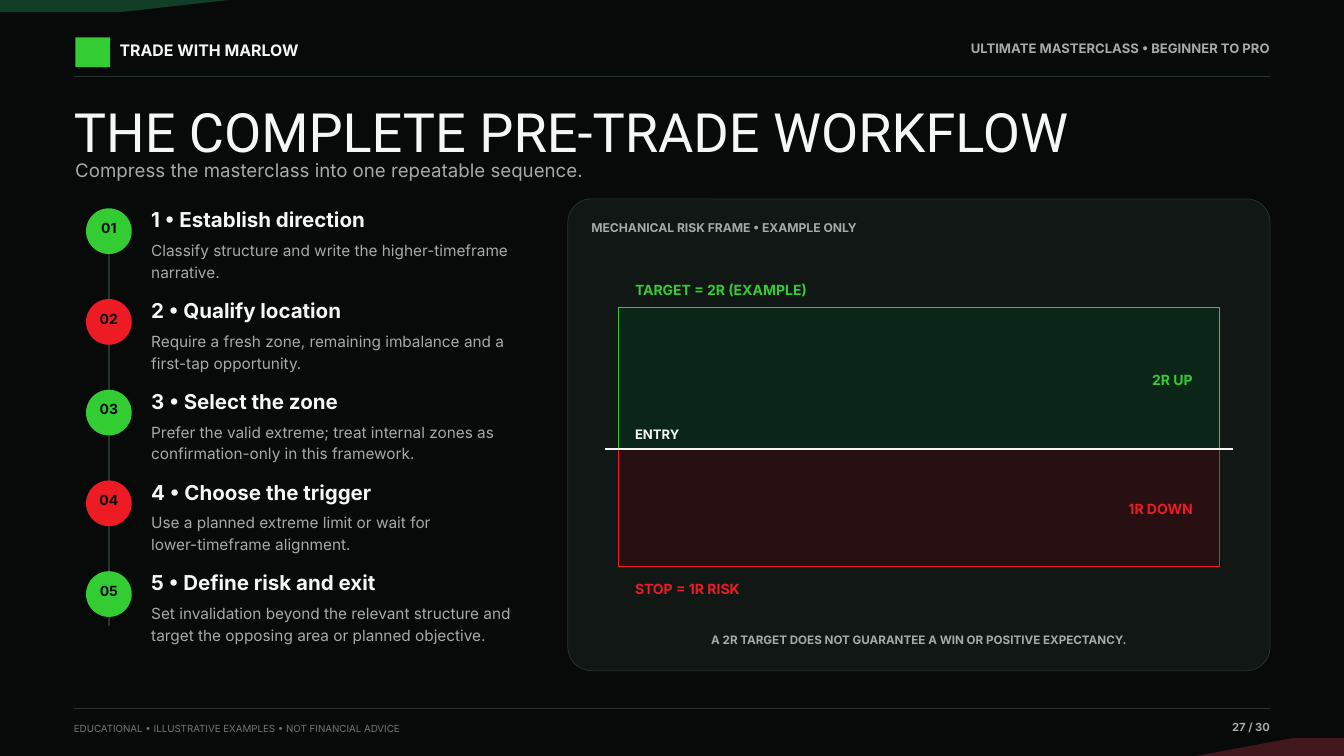
from dataclasses import dataclass

from lxml import etree
from pptx import Presentation
from pptx.dml.color import RGBColor
from pptx.enum import shapes, text
from pptx.oxml.ns import qn
from pptx.util import Pt

COLORS = {
    "background": "070A09", "panel": "111715", "rule": "28332E",
    "white": "F5F7F6", "grey": "A6AAA8", "dim": "6F7873",
    "green": "33CC33", "red": "ED1C24",
    "dark_green": "123D26", "dark_red": "42171B",
    "reward": "0C2519", "risk": "280F12",
}
LEFT, RIGHT = 79.2, 1360.8
STEP_TOP, STEP_PITCH = 223.2, 97.2
ZONE_LEFT, ZONE_WIDTH, ENTRY_Y = 662.4, 644.4, 480.96
ALIGN = {"l": text.PP_ALIGN.LEFT, "c": text.PP_ALIGN.CENTER, "r": text.PP_ALIGN.RIGHT}


@dataclass
class Label:
    words: str
    x: float
    y: float
    w: float
    h: float
    size: float
    color: str
    bold: bool = True
    align: str = "l"
    font: str = "Inter"
    spacing: float = 1.18


@dataclass
class Box:
    kind: shapes.MSO_SHAPE
    x: float
    y: float
    w: float
    h: float
    fill: str
    line: str = ""
    weight: float = 0


@dataclass
class Rule:
    x1: float
    y1: float
    x2: float
    y2: float
    color: str = "rule"
    weight: float = 0.8


@dataclass
class Step:
    heading: str
    body: str


def rgb(name: str) -> RGBColor:
    return RGBColor.from_string(COLORS[name])


def paint(sp, fill: str, line: str = "", weight: float = 0) -> None:
    sp.shadow.inherit = False
    sp.fill.solid()
    sp.fill.fore_color.rgb = rgb(fill)
    if line:
        sp.line.color.rgb = rgb(line)
        sp.line.width = Pt(weight)
    else:
        sp.line.fill.background()


def write(sp, label: Label) -> None:
    sp.left, sp.top = Pt(label.x), Pt(label.y)
    sp.width, sp.height = Pt(label.w), Pt(label.h)
    tf = sp.text_frame
    tf.text = label.words
    tf.word_wrap = True
    tf.auto_size = text.MSO_AUTO_SIZE.NONE
    tf.vertical_anchor = text.MSO_ANCHOR.TOP
    tf.margin_left = tf.margin_top = tf.margin_right = tf.margin_bottom = 0
    for p in tf.paragraphs:
        p.alignment = ALIGN[label.align]
        p.line_spacing = label.spacing
        for r in p.runs:
            r.font.name = label.font
            r.font.size = Pt(label.size)
            r.font.bold = label.bold
            r.font.color.rgb = rgb(label.color)


def add_label(s, label: Label) -> None:
    write(s.shapes.add_textbox(0, 0, 0, 0), label)


def add_box(s, box: Box):
    sp = s.shapes.add_shape(box.kind, Pt(box.x), Pt(box.y), Pt(box.w), Pt(box.h))
    paint(sp, box.fill, box.line, box.weight)
    return sp


def add_rule(s, rule: Rule) -> None:
    line = s.shapes.add_connector(shapes.MSO_CONNECTOR.STRAIGHT, Pt(rule.x1),
                                  Pt(rule.y1), Pt(rule.x2), Pt(rule.y2))
    line.line.color.rgb = rgb(rule.color)
    line.line.width = Pt(rule.weight)
    etree.SubElement(line._element.spPr, qn("a:effectLst"))


def add_wedge(s, points: list[tuple[float, float]], fill: str) -> None:
    start, *rest = [(Pt(x), Pt(y)) for x, y in points]
    builder = s.shapes.build_freeform(*start)
    builder.add_line_segments(rest, close=True)
    paint(builder.convert_to_shape(), fill)


def add_step(s, index: int, step: Step) -> None:
    y = STEP_TOP + index * STEP_PITCH
    color = "red" if index % 2 else "green"
    number = index + 1
    add_box(s, Box(shapes.MSO_SHAPE.OVAL, 92.16, y, 48.96, 48.96, color))
    add_label(s, Label(f"{number:02}", 94.32, y + 8.64, 44.64, 18.72, 15,
                       "background", align="c"))
    add_label(s, Label(f"{number} • {step.heading}", 162, y - 5.76, 399.6, 30.24,
                       22, "white"))
    add_label(s, Label(step.body, 162, y + 31.68, 399.6, 52.56, 16.5, "grey", False))


STEPS = [
    Step("Establish direction",
         "Classify structure and write the higher-timeframe\nnarrative."),
    Step("Qualify location",
         "Require a fresh zone, remaining imbalance and a\nfirst-tap opportunity."),
    Step("Select the zone",
         "Prefer the valid extreme; treat internal zones as\n"
         "confirmation-only in this framework."),
    Step("Choose the trigger",
         "Use a planned extreme limit or wait for\nlower-timeframe alignment."),
    Step("Define risk and exit",
         "Set invalidation beyond the relevant structure and\n"
         "target the opposing area or planned objective."),
]

HEADER_FOOTER = [
    Label("TRADE WITH MARLOW", 128.16, 40.32, 280.8, 24.48, 17, "white"),
    Label("ULTIMATE MASTERCLASS • BEGINNER TO PRO", 1008, 40.32, 352.8, 23.04, 14,
          "grey", align="r"),
    Label("EDUCATIONAL • ILLUSTRATIVE EXAMPLES • NOT FINANCIAL ADVICE",
          LEFT, 771.84, 576, 18, 10.5, "dim", False),
    Label("27 / 30", 1238.4, 768.96, 122.4, 20.16, 12, "grey", align="r"),
]

RISK_LABELS = [
    Label("MECHANICAL RISK FRAME • EXAMPLE ONLY", 633.6, 233.28, 702, 23.04, 13, "grey"),
    Label("ENTRY", 680.4, 453.6, 172.8, 20.16, 14, "white"),
    Label("STOP = 1R RISK", 680.4, 618.48, 259.2, 21.6, 15, "red"),
    Label("TARGET = 2R (EXAMPLE)", 680.4, 298.8, 302.4, 21.6, 15, "green"),
    Label("1R DOWN", 1126.8, 533.52, 151.2, 23.04, 15, "red", align="r"),
    Label("2R UP", 1126.8, 394.56, 151.2, 23.04, 15, "green", align="r"),
    Label("A 2R TARGET DOES NOT GUARANTEE A WIN OR POSITIVE EXPECTANCY.",
          ZONE_LEFT, 675.36, ZONE_WIDTH, 21.6, 12.5, "grey", align="c"),
]


def main() -> None:
    prs = Presentation()
    prs.slide_width, prs.slide_height = Pt(1440), Pt(810)
    s = prs.slides.add_slide(prs.slide_layouts[5])
    s.background.fill.solid()
    s.background.fill.fore_color.rgb = rgb("background")

    # Corner wedges
    add_wedge(s, [(0, 0), (244.8, 0), (129.6, 12.96), (0, 12.96)], "dark_green")
    add_wedge(s, [(1440, 810), (1281.6, 810), (1386, 790.56), (1440, 790.56)], "dark_red")

    # Header and footer, with a plain brand mark
    add_box(s, Box(shapes.MSO_SHAPE.RECTANGLE, 80.64, 40, 37.44, 32, "green"))
    for y in (81.36, 758.88):
        add_rule(s, Rule(LEFT, y, RIGHT, y))
    for label in HEADER_FOOTER:
        add_label(s, label)

    # Title and subtitle
    write(s.shapes.title, Label("THE COMPLETE PRE-TRADE WORKFLOW", LEFT, 105.12, 1281.6,
                                63.36, 58, "white", False, font="Roboto", spacing=1.0))
    add_label(s, Label("Compress the masterclass into one repeatable sequence.",
                       80.64, 165.6, 1238.4, 30.96, 20, "grey", False))

    # Workflow steps
    add_rule(s, Rule(116.64, 239.04, 116.64, 671.04, weight=2))
    for index, step in enumerate(STEPS):
        add_step(s, index, step)

    # Risk frame
    panel = add_box(s, Box(shapes.MSO_SHAPE.ROUNDED_RECTANGLE, 608.4, 213.12, 752.4,
                           505.44, "panel", "rule", 0.8))
    panel.adjustments[0] = 0.05
    add_box(s, Box(shapes.MSO_SHAPE.RECTANGLE, ZONE_LEFT, ENTRY_Y, ZONE_WIDTH, 126,
                   "risk", "red", 0.9))
    add_box(s, Box(shapes.MSO_SHAPE.RECTANGLE, ZONE_LEFT, ENTRY_Y - 151.92, ZONE_WIDTH,
                   151.92, "reward", "green", 0.9))
    add_rule(s, Rule(648, ENTRY_Y, 1321.2, ENTRY_Y, "white", 1.4))
    for label in RISK_LABELS:
        add_label(s, label)

    prs.save("out.pptx")


if __name__ == "__main__":
    main()
